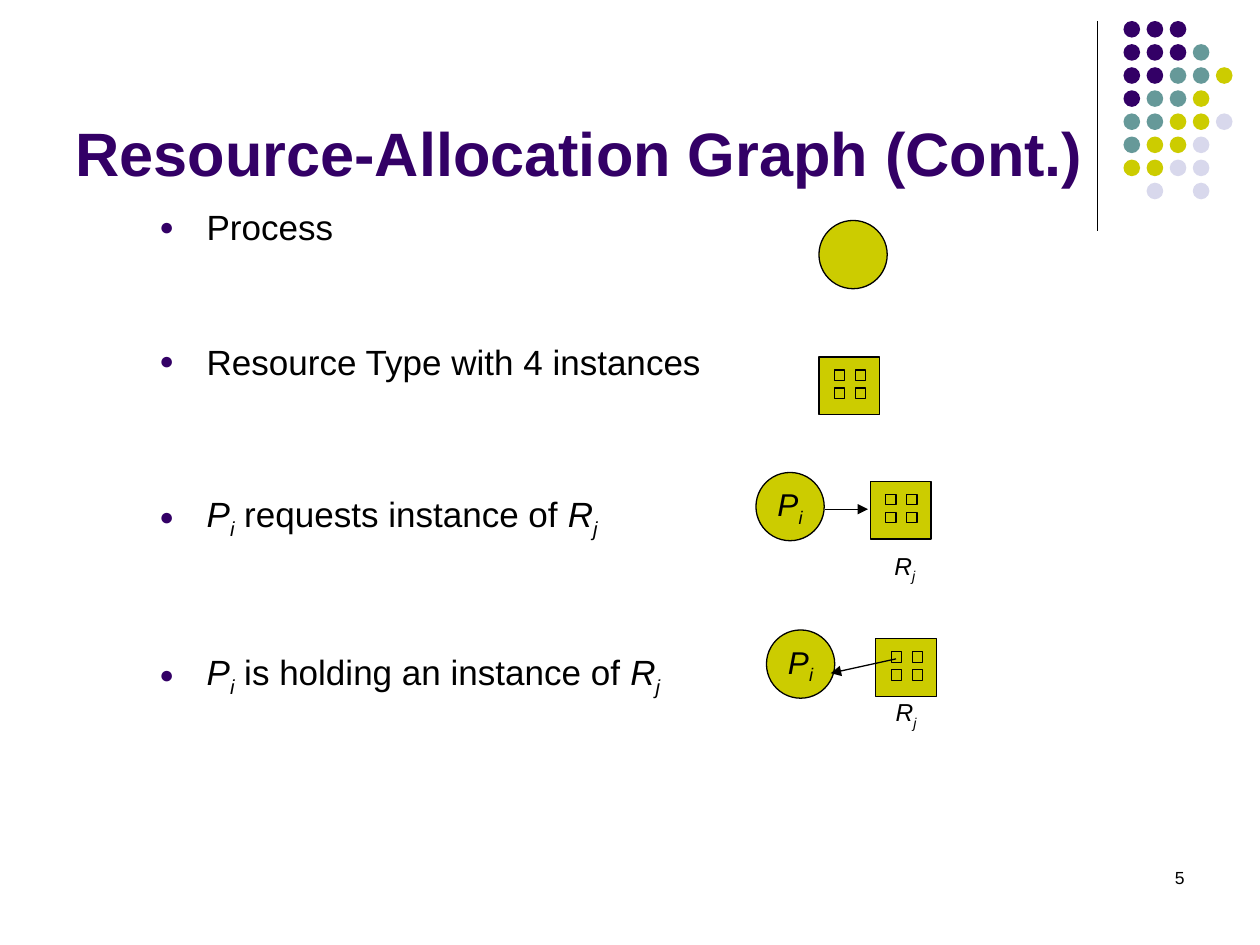
from lxml.etree import SubElement
from pptx import Presentation
from pptx.dml.color import RGBColor
from pptx.enum.shapes import MSO_CONNECTOR, MSO_SHAPE
from pptx.enum.text import MSO_ANCHOR, PP_ALIGN
from pptx.oxml.ns import qn
from pptx.util import Pt

PURPLE, TEAL, OLIVE, LILAC, BLACK = "330066", "669999", "CCCC00", "D8D8EC", "000000"


def add_filled_shape(shapes, kind, left, top, width, height, fill, outlined=True):
    shape = shapes.add_shape(kind, Pt(left), Pt(top), Pt(width), Pt(height))
    shape.shadow.inherit = False
    shape.fill.solid()
    shape.fill.fore_color.rgb = RGBColor.from_string(fill)
    if outlined:
        shape.line.color.rgb = RGBColor.from_string(BLACK)
        shape.line.width = Pt(0.75)
    else:
        shape.line.fill.background()
    return shape


def write_runs(paragraph, runs, size, color=BLACK, bold=False):
    """Write (text, style) runs: "" is upright, "i" italic, "s" italic subscript."""
    for text, style in runs:
        run = paragraph.add_run()
        run.text = text
        run.font.name = "Arial"
        run.font.size = Pt(size)
        run.font.bold = bold
        run.font.italic = style != ""
        run.font.color.rgb = RGBColor.from_string(color)
        if style == "s":
            run._r.get_or_add_rPr().set("baseline", "-25000")


presentation = Presentation()
presentation.slide_width, presentation.slide_height = Pt(720), Pt(540)
slide = presentation.slides.add_slide(presentation.slide_layouts[6])

# Vertical rule
rule = slide.shapes.add_connector(MSO_CONNECTOR.STRAIGHT, Pt(627), Pt(12), Pt(627), Pt(132))
rule.line.color.rgb = RGBColor.from_string(BLACK)
rule.line.width = Pt(0.75)
SubElement(rule._element.spPr, qn("a:effectLst"))

# Corner dots: one letter per dot, a space leaves a gap
dot_colors = {"P": PURPLE, "T": TEAL, "O": OLIVE, "L": LILAC}
dot_rows = ["PPP", "PPPT", "PPTTO", "PTTO", "TTOOL", "TOOL", "OOLL", " L L"]
dots = slide.shapes.add_group_shape()
for row, letters in enumerate(dot_rows):
    for column, letter in enumerate(letters):
        if letter in dot_colors:
            add_filled_shape(dots.shapes, MSO_SHAPE.OVAL, 642 + 13.2 * column, 12 + 13.2 * row,
                             9.5, 9.5, dot_colors[letter], outlined=False)

# Slide number
number_box = slide.shapes.add_textbox(Pt(516), Pt(492), Pt(168), Pt(36))
number_box.text_frame.word_wrap = True
number_paragraph = number_box.text_frame.paragraphs[0]
number_paragraph.alignment = PP_ALIGN.RIGHT
write_runs(number_paragraph, [("5", "")], 10)

# Title
title_box = slide.shapes.add_textbox(Pt(36), Pt(9.5), Pt(594), Pt(102))
title_box.text_frame.word_wrap = True
title_box.text_frame.vertical_anchor = MSO_ANCHOR.BOTTOM
write_runs(title_box.text_frame.paragraphs[0], [("Resource-Allocation Graph (Cont.)", "")],
           35, PURPLE, bold=True)

# Bullets: space before, runs
bullets = [
    (0, [("Process", "")]),
    (53, [("Resource Type with 4 instances", "")]),
    (63, [("P", "i"), ("i", "s"), (" requests instance of ", ""), ("R", "i"), ("j", "s")]),
    (63, [("P", "i"), ("i", "s"), (" is holding an instance of ", ""), ("R", "i"), ("j", "s")]),
]
body_box = slide.shapes.add_textbox(Pt(84), Pt(114), Pt(554), Pt(324))
body_frame = body_box.text_frame
body_frame.word_wrap = True
for index, (space_before, runs) in enumerate(bullets):
    paragraph = body_frame.add_paragraph() if index else body_frame.paragraphs[0]
    properties = paragraph._p.get_or_add_pPr()
    properties.set("marL", str(Pt(27)))
    properties.set("indent", str(-Pt(27)))
    bullet_color = SubElement(properties, qn("a:buClr"))
    SubElement(bullet_color, qn("a:srgbClr"), val=PURPLE)
    SubElement(properties, qn("a:buSzPct"), val="70000")
    SubElement(properties, qn("a:buFont"), typeface="Arial")
    SubElement(properties, qn("a:buChar"), char="●")
    paragraph.space_before = Pt(space_before)
    write_runs(paragraph, runs, 20)

# Process symbol
process_size = 39
add_filled_shape(slide.shapes, MSO_SHAPE.OVAL, 468, 126, process_size, process_size, OLIVE)

# Resource symbols, two of them linked to a process:
# resource corner, process corner, arrow from and to, label corner
diagrams = [
    ((468, 204), None, None, None),
    ((497.3, 275), (432, 270), (471.7, 291, 496, 291), (504, 311)),
    ((500.5, 365), (438, 360), (512, 376.5, 474.7, 384.7), (504.7, 394.8)),
]
for (left, top), process, arrow_ends, label in diagrams:
    group = slide.shapes.add_group_shape()
    if process:
        circle = add_filled_shape(group.shapes, MSO_SHAPE.OVAL, *process,
                                  process_size, process_size, OLIVE)
        circle.text_frame.word_wrap = False
        circle.text_frame.vertical_anchor = MSO_ANCHOR.MIDDLE
        circle.text_frame.paragraphs[0].alignment = PP_ALIGN.CENTER
        write_runs(circle.text_frame.paragraphs[0], [("P", "i"), ("i", "s")], 18)

    # Resource with its four instances
    add_filled_shape(group.shapes, MSO_SHAPE.RECTANGLE, left, top, 34.7, 33, OLIVE)
    for row in range(2):
        for column in range(2):
            add_filled_shape(group.shapes, MSO_SHAPE.RECTANGLE, left + 8.8 + 12 * column,
                             top + 7.5 + 10.3 * row, 6, 6, OLIVE)

    if process:
        # Arrow
        arrow = group.shapes.add_connector(MSO_CONNECTOR.STRAIGHT, *map(Pt, arrow_ends))
        arrow.line.color.rgb = RGBColor.from_string(BLACK)
        arrow.line.width = Pt(0.75)
        SubElement(arrow.line._get_or_add_ln(), qn("a:tailEnd"), type="triangle")
        SubElement(arrow._element.spPr, qn("a:effectLst"))

        # Resource label, without side margins so that it stays on one line
        label_box = group.shapes.add_textbox(*map(Pt, label), Pt(26), Pt(26.6))
        label_frame = label_box.text_frame
        label_frame.word_wrap = False
        label_frame.margin_left = label_frame.margin_right = 0
        label_frame.vertical_anchor = MSO_ANCHOR.MIDDLE
        label_frame.paragraphs[0].alignment = PP_ALIGN.CENTER
        write_runs(label_frame.paragraphs[0], [("R", "i"), ("j", "s")], 14)

presentation.save("out.pptx")
